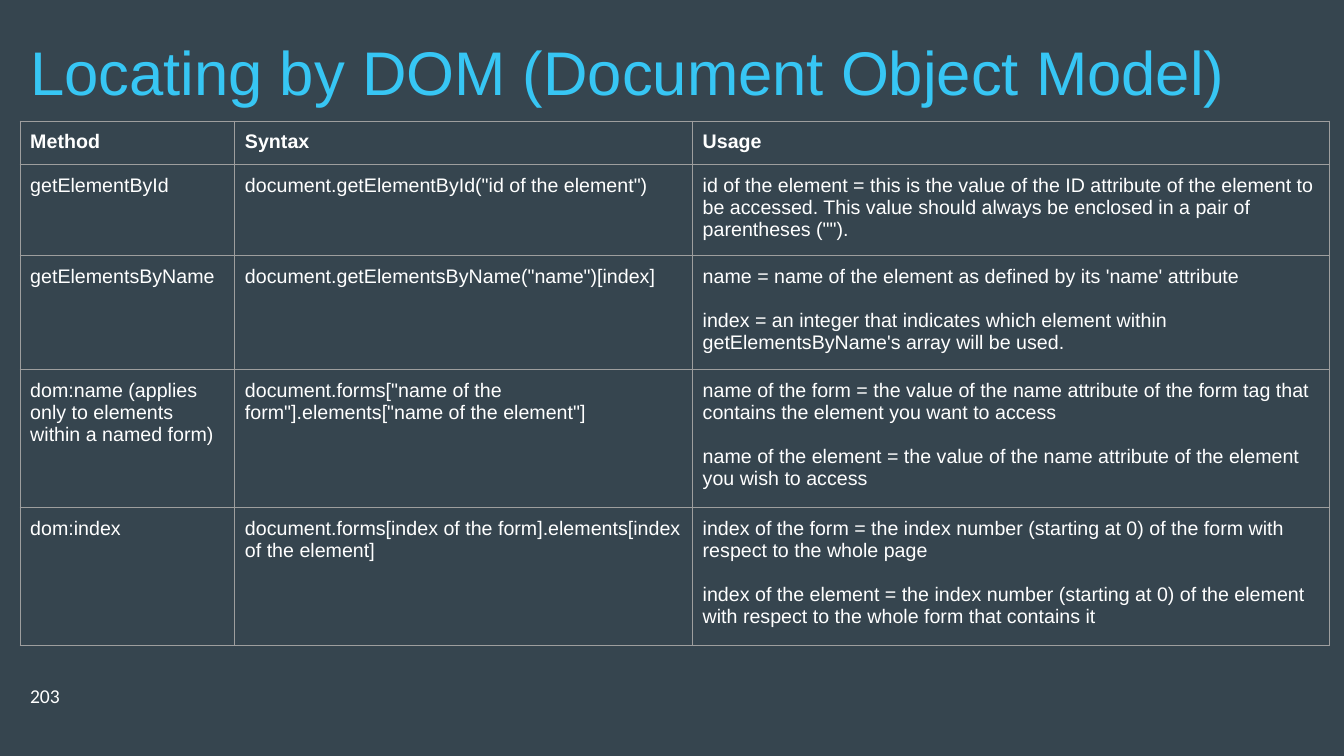
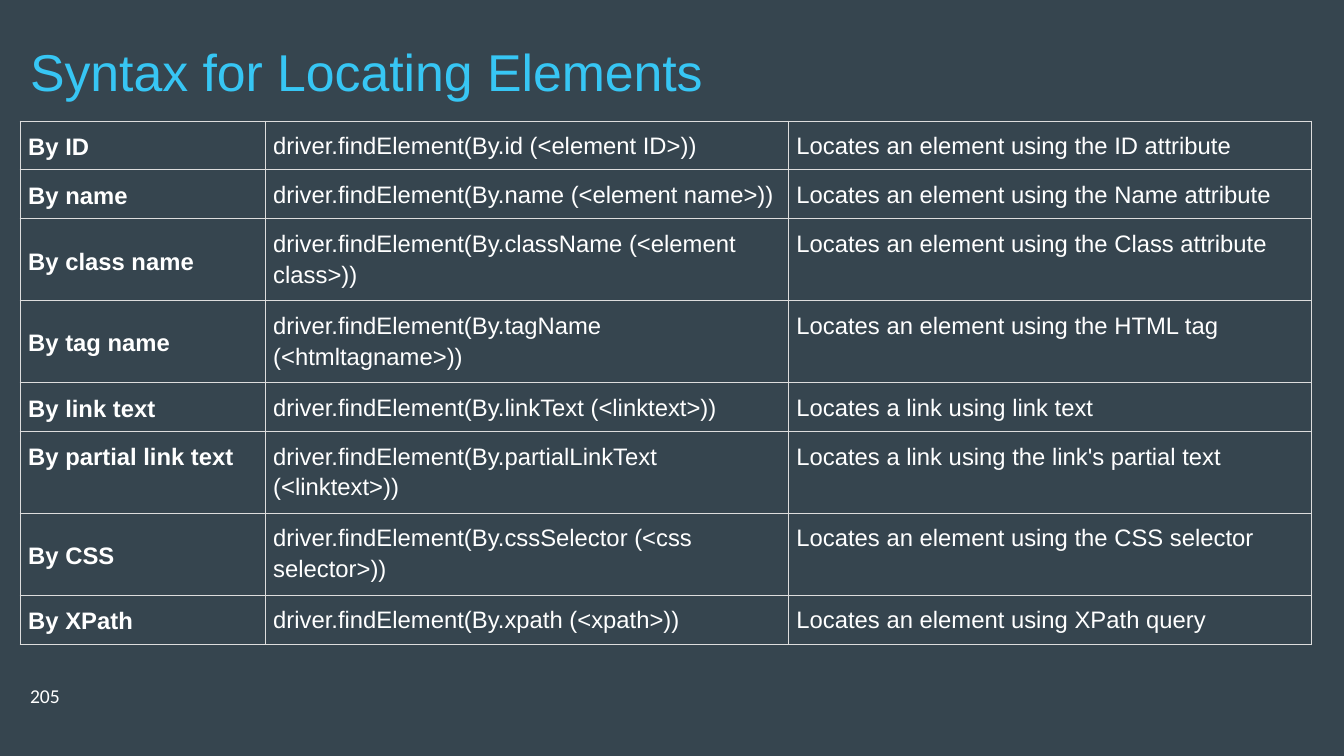
import pptx
import pptx.dml.color
import pptx.enum.text
import pptx.oxml
import pptx.oxml.ns
import pptx.util

Inches = pptx.util.Inches
Pt = pptx.util.Pt
RGBColor = pptx.dml.color.RGBColor
Anchor = pptx.enum.text.MSO_ANCHOR

# Shared look
SLATE = RGBColor(0x36, 0x45, 0x4F)
SKY = RGBColor(0x37, 0xC6, 0xF4)
WHITE = RGBColor(0xFF, 0xFF, 0xFF)
GREY = RGBColor(0x9E, 0x9E, 0x9E)
PALE = RGBColor(0xDD, 0xDD, 0xDD)
LEFT = 0.2

# Content
DOM_ROWS = [
    ("Method", "Syntax", "Usage"),
    ("getElementById",
     'document.getElementById("id of the element")',
     "id of the element = this is the value of the ID attribute of the "
     "element to be accessed. This value should always be enclosed in a "
     'pair of parentheses ("").'),
    ("getElementsByName",
     'document.getElementsByName("name")[index]',
     "name = name of the element as defined by its 'name' attribute\n"
     "index = an integer that indicates which element within "
     "getElementsByName's array will be used."),
    ("dom:name (applies only to elements within a named form)",
     'document.forms["name of the form"].elements["name of the element"]',
     "name of the form = the value of the name attribute of the form tag "
     "that contains the element you want to access\n"
     "name of the element = the value of the name attribute of the element "
     "you wish to access"),
    ("dom:index",
     "document.forms[index of the form].elements[index of the element]",
     "index of the form = the index number (starting at 0) of the form with "
     "respect to the whole page\n"
     "index of the element = the index number (starting at 0) of the element "
     "with respect to the whole form that contains it"),
]

# Label, By call, what it locates
FIND_ROWS = [
    ("By ID", "id (<element ID>)", "an element using the ID attribute"),
    ("By name", "name (<element name>)", "an element using the Name attribute"),
    ("By class name", "className (<element class>)",
     "an element using the Class attribute"),
    ("By tag name", "tagName (<htmltagname>)",
     "an element using the HTML tag"),
    ("By link text", "linkText (<linktext>)", "a link using link text"),
    ("By partial link text", "partialLinkText (<linktext>)",
     "a link using the link's partial text"),
    ("By CSS", "cssSelector (<css selector>)",
     "an element using the CSS selector"),
    ("By XPath", "xpath (<xpath>)", "an element using XPath query"),
]


def write(frame, text, size=14, color=WHITE, font="Arial", bold=False,
          line=None, gap=0):
    """Fill a text frame, one paragraph for each line of text."""
    frame.word_wrap = True
    for i, part in enumerate(text.split("\n")):
        para = frame.paragraphs[0] if i == 0 else frame.add_paragraph()
        if i and gap:
            para.space_before = Pt(gap)
        if line:
            para.line_spacing = line
        run = para.add_run()
        run.text = part
        run.font.size = Pt(size)
        run.font.name = font
        run.font.bold = bold
        run.font.color.rgb = color


def add_text(slide, text, top, width, height, anchor=Anchor.TOP, **style):
    box = slide.shapes.add_textbox(
        Inches(LEFT), Inches(top), Inches(width), Inches(height))
    box.text_frame.vertical_anchor = anchor
    write(box.text_frame, text, **style)


def add_page(deck, title, size, number):
    """Add a slide with background, title and page number."""
    slide = deck.slides.add_slide(deck.slide_layouts[6])
    slide.background.fill.solid()
    slide.background.fill.fore_color.rgb = SLATE
    add_text(slide, title, 0.2, 13, 1, anchor=Anchor.MIDDLE,
             size=size, color=SKY)
    add_text(slide, number, 6.74, 1.33, 0.5, font="Calibri")
    return slide


def set_edges(cell, color):
    """Draw a thin line on all four sides of a cell."""
    props = cell._tc.get_or_add_tcPr()
    for i, side in enumerate("LRTB"):
        props.insert(i, pptx.oxml.parse_xml(
            f'<a:ln{side} {pptx.oxml.ns.nsdecls("a")} w="{Pt(0.75)}">'
            f'<a:solidFill><a:srgbClr val="{color}"/></a:solidFill>'
            f'</a:ln{side}>'))


def add_grid(slide, rows, widths, heights, edge, inset, style):
    """Add a table; style(row, column) gives each cell's anchor and format."""
    table = slide.shapes.add_table(
        len(rows), len(widths), Inches(LEFT), Inches(1.2),
        Inches(sum(widths)), Inches(sum(heights))).table
    table.first_row = table.horz_banding = False
    for column, width in zip(table.columns, widths):
        column.width = Inches(width)
    for r, (row, height) in enumerate(zip(rows, heights)):
        table.rows[r].height = Inches(height)
        for c, text in enumerate(row):
            cell = table.cell(r, c)
            cell.fill.solid()
            cell.fill.fore_color.rgb = SLATE
            set_edges(cell, edge)
            cell.margin_left = cell.margin_right = Inches(inset)
            cell.margin_top = cell.margin_bottom = Inches(inset)
            anchor, form = style(r, c)
            cell.vertical_anchor = anchor
            write(cell.text_frame, text, **form)


def dom_style(row, col):
    return Anchor.TOP, dict(bold=row == 0, gap=16)


def find_style(row, col):
    # The partial link label sits at the top, the other labels in the middle
    label = col == 0
    middle = label and "partial" not in FIND_ROWS[row][0]
    return (Anchor.MIDDLE if middle else Anchor.TOP,
            dict(size=17, bold=label, line=1.15))


def add_dom(deck):
    slide = add_page(deck, "Locating by DOM (Document Object Model)", 44, "203")
    add_grid(slide, DOM_ROWS, [2.13, 4.54, 6.32],
             [0.43, 0.9, 1.13, 1.37, 1.37], GREY, 0.1, dom_style)


def add_find(deck):
    slide = add_page(deck, "Syntax for Locating Elements", 37, "205")
    rows = [(label, f"driver.findElement(By.{call})", f"Locates {what}")
            for label, call, what in FIND_ROWS]
    one, two = 0.47, 0.78
    add_grid(slide, rows, [2.43, 5.19, 5.19],
             [one, one, two, two, one, two, two, one], PALE, 0.08, find_style)


def main():
    deck = pptx.Presentation()
    deck.slide_width = Inches(13.33)
    deck.slide_height = Inches(7.5)
    add_dom(deck)
    add_find(deck)
    deck.save("out.pptx")


if __name__ == "__main__":
    main()
